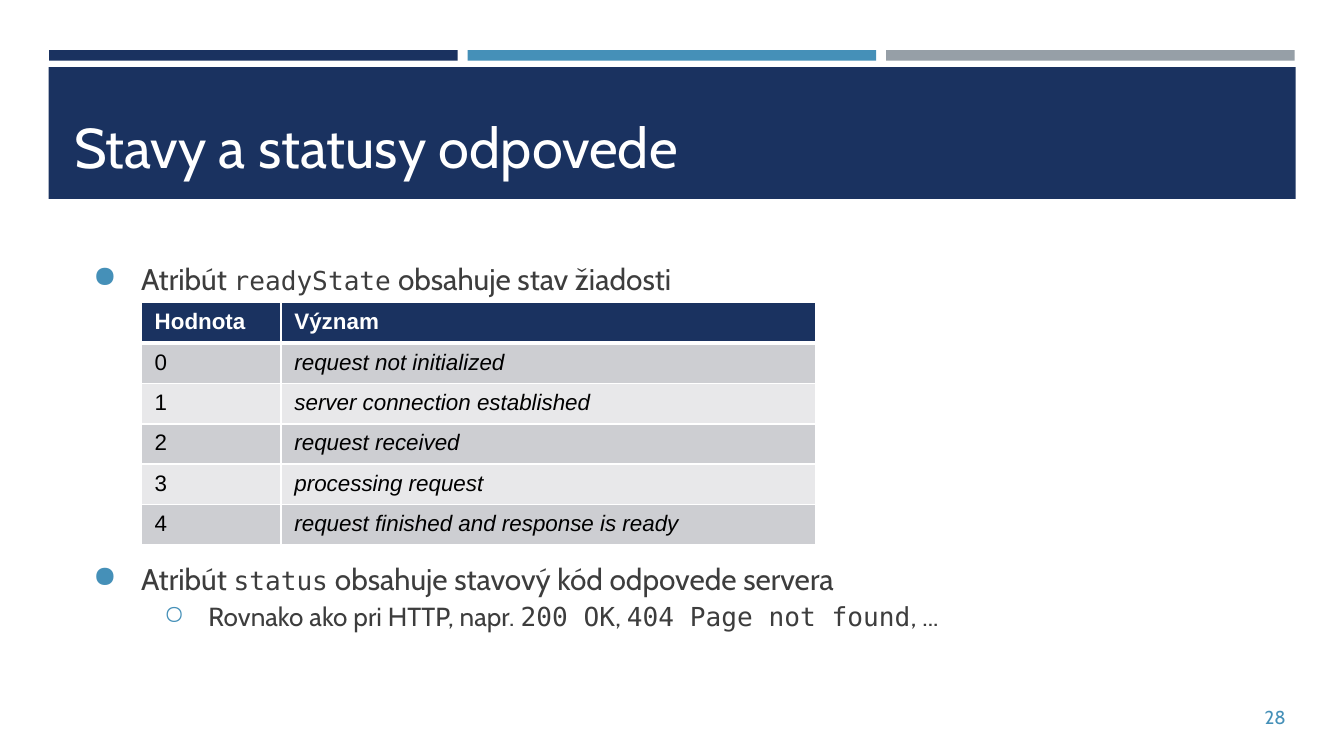
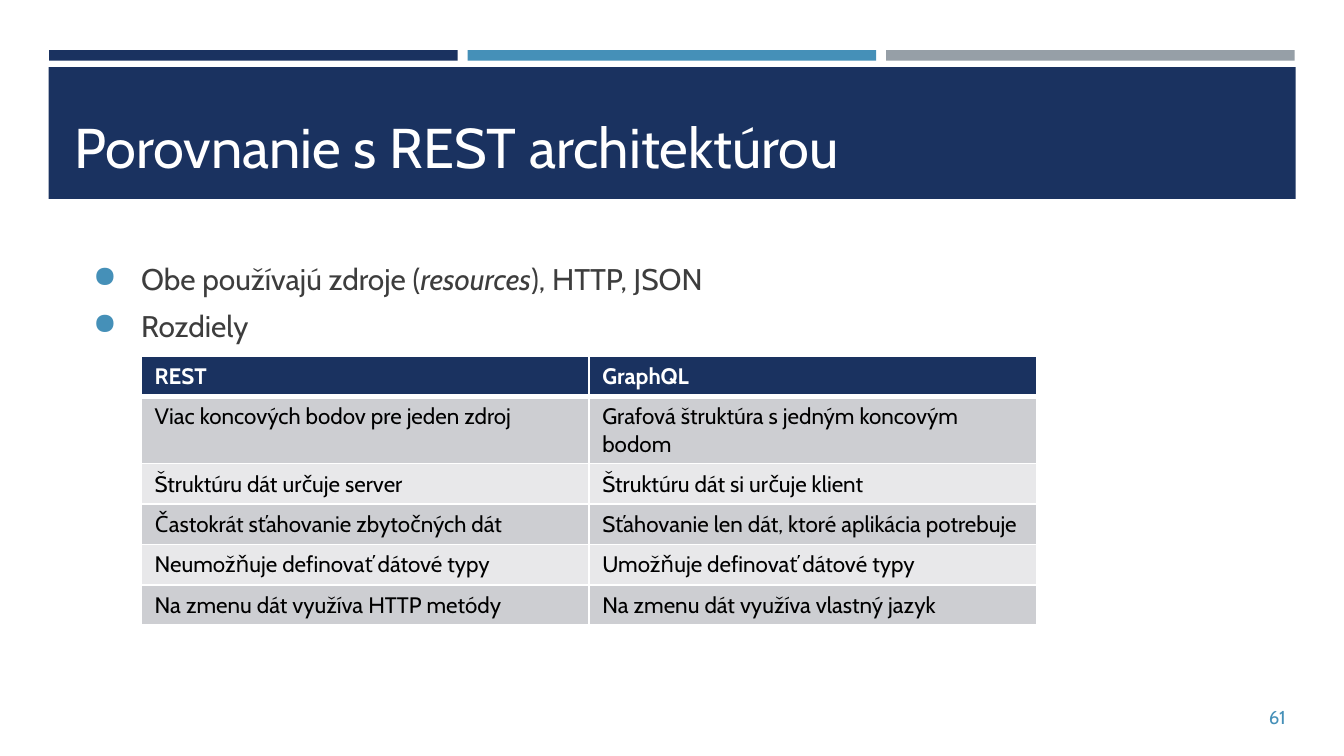
from pptx import Presentation
from pptx.dml.color import RGBColor as RGB
from pptx.enum.shapes import MSO_SHAPE as SHAPE
from pptx.enum.text import MSO_ANCHOR as ANCHOR, PP_ALIGN as ALIGN
from pptx.oxml.ns import qn
from pptx.util import Cm, Pt
from lxml import etree

COLORS = {
    "navy": "1A3260",
    "blue": "4590B8",
    "grey": "969FA7",
    "text": "3D3D3D",
    "white": "FFFFFF",
    "black": "000000",
    "row_dark": "CDCED2",
    "row_light": "E8E8EA",
}
FONT, CODE_FONT, PLAIN_FONT = "Cabin", "DejaVu Sans Mono", "Arial"
CODE_SIZE = 14
# Per level: bullet, text indent and hanging indent in cm, text size in points
LEVELS = [("●", 1.27, 0.91, 16), ("○", 2.54, 0.84, 14)]


def rgb(name):
    return RGB.from_string(COLORS[name])


class Deck:
    def __init__(self):
        self.prs = Presentation()
        self.prs.slide_width, self.prs.slide_height = Cm(25.4), Cm(14.29)
        self.slide = None

    # Slide frame: stripes, title band, title and number
    def new_slide(self, title, number):
        self.slide = self.prs.slides.add_slide(self.prs.slide_layouts[6])
        for i, color in enumerate(("navy", "blue", "grey")):
            self.rect(0.93 + i * 7.91, 0.95, 7.72, 0.2, color)
        self.rect(0.92, 1.27, 23.57, 2.49, "navy")
        tf = self.textbox(1.22, 1.47, 22.99, 2.11, anchor=ANCHOR.BOTTOM)
        tf.text = title
        self.style(tf.paragraphs[0].runs[0], 30, "white")
        tf = self.textbox(23.62, 13.18, 0.86, 0.76, 0.1, ANCHOR.MIDDLE)
        tf.text = str(number)
        tf.paragraphs[0].alignment = ALIGN.RIGHT
        self.style(tf.paragraphs[0].runs[0], 10, "blue")

    def rect(self, x, y, w, h, color):
        sp = self.slide.shapes.add_shape(SHAPE.RECTANGLE, Cm(x), Cm(y), Cm(w), Cm(h))
        sp.shadow.inherit = False
        sp.fill.solid()
        sp.fill.fore_color.rgb = rgb(color)
        sp.line.fill.background()

    def textbox(self, x, y, w, h, pad=0.18, anchor=ANCHOR.TOP):
        tf = self.slide.shapes.add_textbox(Cm(x), Cm(y), Cm(w), Cm(h)).text_frame
        tf.word_wrap = True
        tf.vertical_anchor = anchor
        tf.margin_left = tf.margin_right = Cm(0.18)
        tf.margin_top = tf.margin_bottom = Cm(pad)
        return tf

    def style(self, r, size, color, font=FONT, bold=False, italic=False):
        r.font.name, r.font.size = font, Pt(size)
        r.font.color.rgb = rgb(color)
        r.font.bold, r.font.italic = bold, italic

    # Bulleted list: items are (level, [(text, kind), ...])
    def bullets(self, y, h, items):
        tf = self.textbox(1.22, y, 22.99, h)
        for i, (level, parts) in enumerate(items):
            p = tf.add_paragraph() if i else tf.paragraphs[0]
            char, left, hang, size = LEVELS[level]
            p.level = level
            pPr = p._p.get_or_add_pPr()
            pPr.set("marL", str(Cm(left)))
            pPr.set("indent", str(-Cm(hang)))
            clr = etree.SubElement(pPr, qn("a:buClr"))
            etree.SubElement(clr, qn("a:srgbClr"), val=COLORS["blue"])
            etree.SubElement(pPr, qn("a:buChar"), char=char)
            p.line_spacing = 1.15
            p.space_before = Pt(3 if i and level == 0 else 0)
            for text, kind in parts:
                r = p.add_run()
                r.text = text
                code = kind == "code"
                self.style(r, CODE_SIZE if code else size, "text",
                           CODE_FONT if code else FONT, italic=kind == "italic")

    # Table with a header row and alternating row fills
    def table(self, y, widths, row_h, rows, font=FONT, italic_cols=()):
        frame = self.slide.shapes.add_table(
            len(rows), len(widths), Cm(2.67), Cm(y), Cm(sum(widths)), Cm(row_h * len(rows)))
        tbl = frame.table
        tbl.horz_banding = False
        for col, width in zip(tbl.columns, widths):
            col.width = Cm(width)
        for i, row in enumerate(rows):
            header = i == 0
            fill = "navy" if header else "row_dark" if i % 2 else "row_light"
            for j, text in enumerate(row):
                cell = tbl.cell(i, j)
                cell.text = text
                self.style(cell.text_frame.paragraphs[0].runs[0], 12,
                           "white" if header else "black", font, bold=header,
                           italic=not header and j in italic_cols)
                cell.fill.solid()
                cell.fill.fore_color.rgb = rgb(fill)
                self.borders(cell, top=3 if i == 1 else 1, bottom=3 if header else 1)

    def borders(self, cell, top, bottom):
        tcPr = cell._tc.get_or_add_tcPr()
        sides = (("L", 1), ("R", 1), ("T", top), ("B", bottom))
        for i, (side, width) in enumerate(sides):
            ln = etree.Element(qn("a:ln" + side), w=str(Pt(width)))
            fill = etree.SubElement(ln, qn("a:solidFill"))
            etree.SubElement(fill, qn("a:srgbClr"), val=COLORS["white"])
            tcPr.insert(i, ln)


def main():
    deck = Deck()

    # Response states
    deck.new_slide("Stavy a statusy odpovede", 28)
    deck.bullets(4.65, 1.05, [
        (0, [("Atribút ", ""), ("readyState", "code"), (" obsahuje stav žiadosti", "")]),
    ])
    deck.bullets(10.31, 2, [
        (0, [("Atribút ", ""), ("status", "code"),
             (" obsahuje stavový kód odpovede servera", "")]),
        (1, [("Rovnako ako pri HTTP, napr. ", ""), ("200 OK", "code"), (", ", ""),
             ("404 Page not found", "code"), (", ...", "")]),
    ])
    deck.table(5.72, (2.64, 10.11), 0.73, [
        ("Hodnota", "Význam"),
        ("0", "request not initialized"),
        ("1", "server connection established"),
        ("2", "request received"),
        ("3", "processing request"),
        ("4", "request finished and response is ready"),
    ], PLAIN_FONT, italic_cols=(1,))

    # REST and GraphQL
    deck.new_slide("Porovnanie s REST architektúrou", 61)
    deck.bullets(4.65, 7.67, [
        (0, [("Obe používajú zdroje (", ""), ("resources", "italic"), ("), HTTP, JSON", "")]),
        (0, [("Rozdiely", "")]),
    ])
    deck.table(6.73, (8.46, 8.46), 0.74, [
        ("REST", "GraphQL"),
        ("Viac koncových bodov pre jeden zdroj", "Grafová štruktúra s jedným koncovým bodom"),
        ("Štruktúru dát určuje server", "Štruktúru dát si určuje klient"),
        ("Častokrát sťahovanie zbytočných dát", "Sťahovanie len dát, ktoré aplikácia potrebuje"),
        ("Neumožňuje definovať dátové typy", "Umožňuje definovať dátové typy"),
        ("Na zmenu dát využíva HTTP metódy", "Na zmenu dát využíva vlastný jazyk"),
    ])

    deck.prs.save("out.pptx")


if __name__ == "__main__":
    main()
